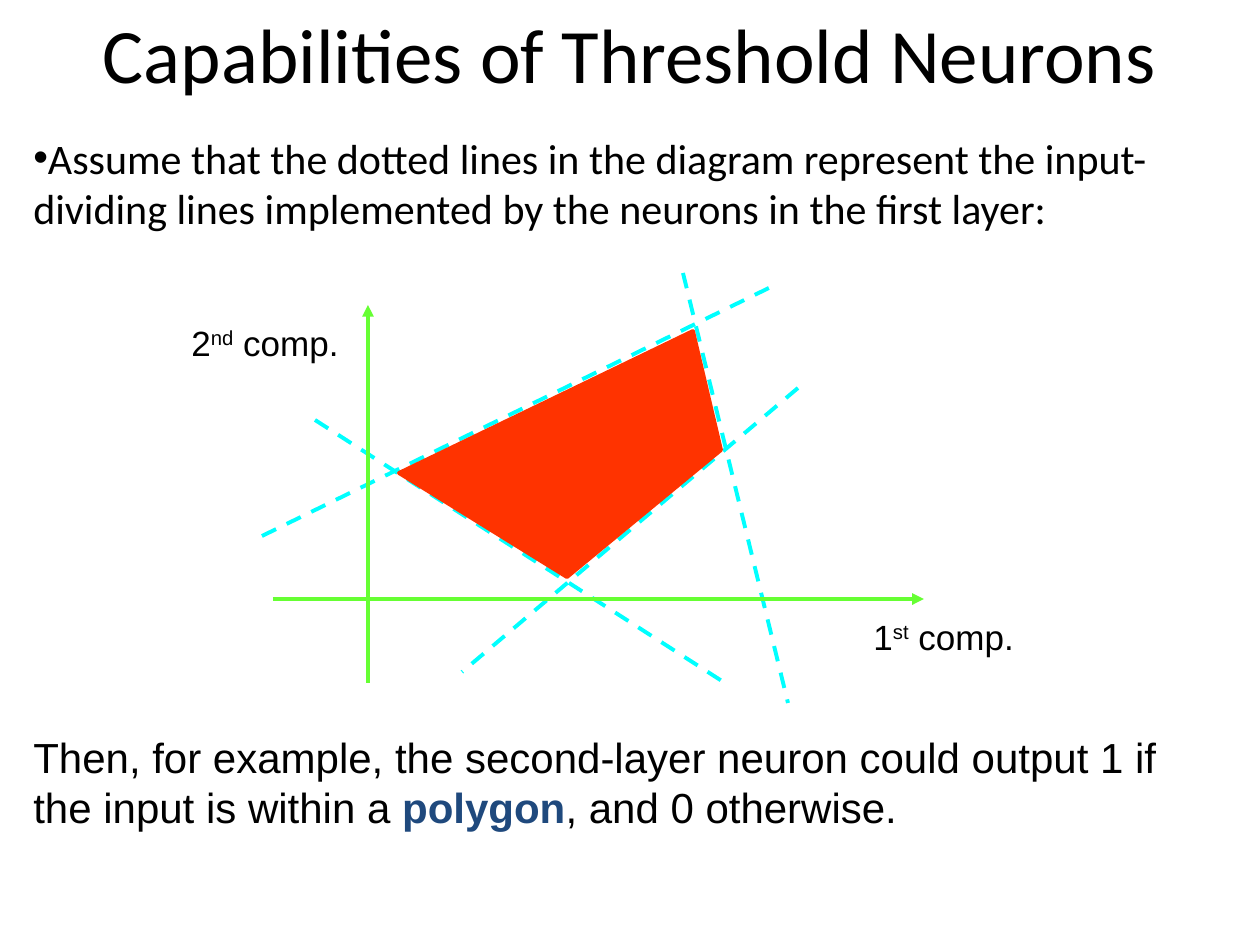
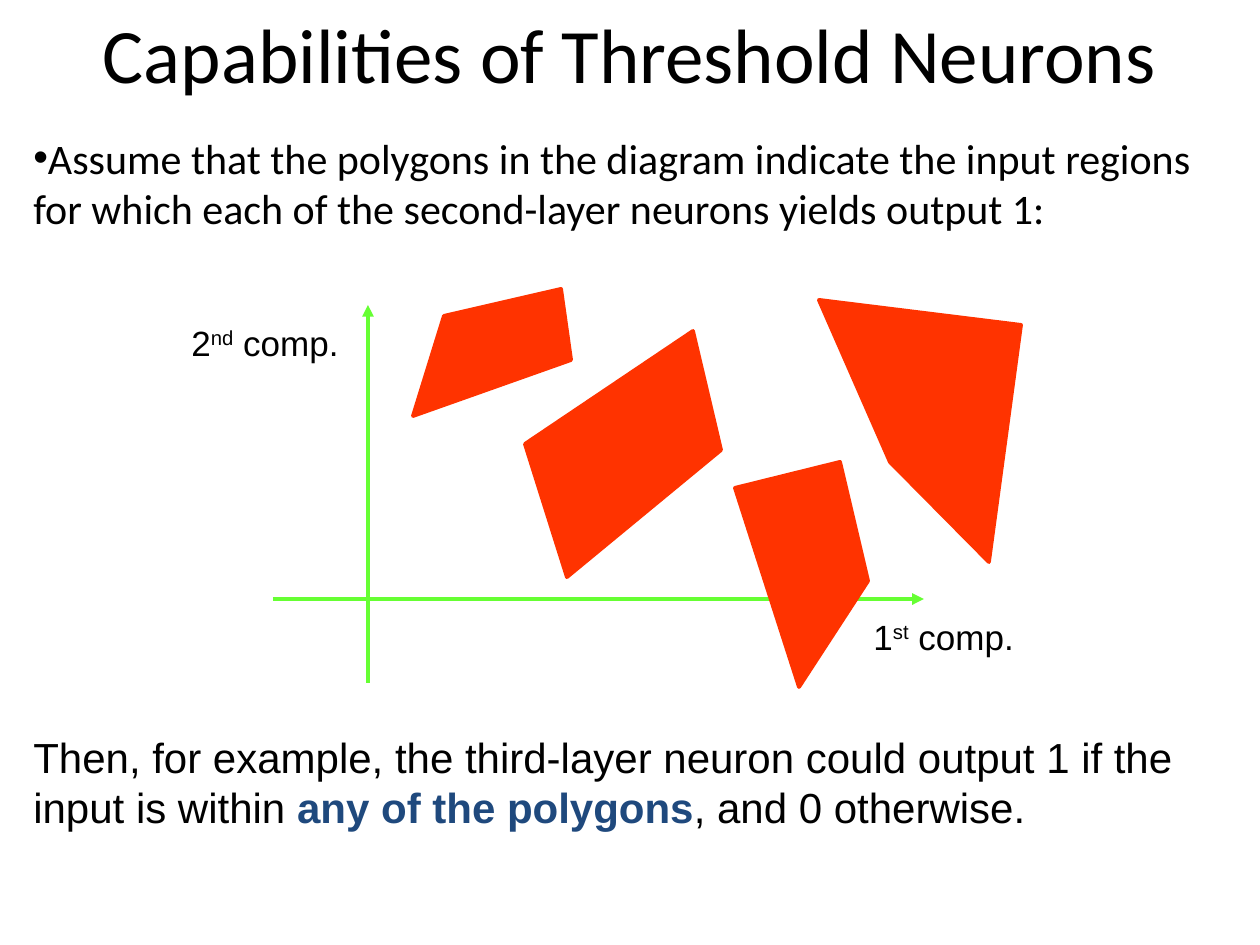
from lxml.etree import SubElement
from pptx import Presentation
from pptx.dml.color import RGBColor
from pptx.enum.dml import MSO_LINE
from pptx.enum.shapes import MSO_CONNECTOR
from pptx.enum.text import MSO_ANCHOR, PP_ALIGN
from pptx.oxml.ns import qn
from pptx.util import Pt

EMU_PER_PX = 914400 / 126
BLACK = RGBColor(0x00, 0x00, 0x00)
NAVY = RGBColor(0x1F, 0x49, 0x7D)
CYAN = RGBColor(0x00, 0xFF, 0xFF)
GREEN = RGBColor(0x66, 0xFF, 0x33)
RED = RGBColor(0xFF, 0x33, 0x00)

TITLE = {"name": "Calibri", "size": Pt(44)}
BODY = {"name": "Calibri", "size": Pt(24)}
CONCLUSION = {"name": "Arial", "size": Pt(24)}
LABEL = {"name": "Arial", "size": Pt(20)}
LINE_WIDTH = Pt(2.25)

# Boxes are left, top, width, height
TITLE_BOX = (0, 0, 1260, 105)
BODY_BOX = (21, 126, 1197, 168)
DIAGRAM_BOX = (179, 273, 851, 430)
CONCLUSION_BOX = (21, 725, 1197, 136)
LABEL_SIZE = (179, 63)

# Diagram points are relative to the diagram box
AXES = [((189, 410), (189, 32)), ((94, 326), (745, 326))]
AXIS_LABELS = [((682, 336), "1", "st"), ((0, 42), "2", "nd")]
DIVIDING_LINES = [
    ((136, 147), (546, 410)),
    ((83, 263), (598, 11)),
    ((504, 0), (609, 430)),
    ((619, 115), (283, 399)),
]
SHARED_CORNERS = [(388, 304), (542, 177), (514, 58)]
ENCLOSED_POLYGON = [(220, 200), *SHARED_CORNERS]
REGION_POLYGONS = [
    [(346, 171), *SHARED_CORNERS],
    [(640, 27), (711, 189), (810, 289), (842, 52)],
    [(265, 43), (234, 143), (392, 87), (382, 16)],
    [(556, 215), (620, 414), (689, 308), (661, 189)],
]

PAGES = [
    {
        "body": "Assume that the dotted lines in the diagram represent the input-dividing "
                "lines implemented by the neurons in the first layer:",
        "dividing_lines": DIVIDING_LINES,
        "polygons": [ENCLOSED_POLYGON],
        "conclusion": ("Then, for example, the second-layer neuron could output 1 if the "
                       "input is within a ", "polygon", ", and 0 otherwise."),
    },
    {
        "body": "Assume that the polygons in the diagram indicate the input regions for "
                "which each of the second-layer neurons yields output 1:",
        "dividing_lines": [],
        "polygons": REGION_POLYGONS,
        "conclusion": ("Then, for example, the third-layer neuron could output 1 if the "
                       "input is within ", "any of the polygons", ", and 0 otherwise."),
    },
]


def px(length):
    return round(length * EMU_PER_PX)


def place(box, point):
    """Turn a point relative to a box into slide EMU."""
    return px(box[0] + point[0]), px(box[1] + point[1])


def add_text_box(shapes, box):
    frame = shapes.add_textbox(*map(px, box)).text_frame
    frame.word_wrap = True
    return frame


def add_span(para, text, style, color=BLACK, bold=False):
    span = para.add_run()
    span.text = text
    for name, value in {**style, "bold": bold}.items():
        setattr(span.font, name, value)
    span.font.color.rgb = color
    return span


def add_line(shapes, box, start, end, color):
    line = shapes.add_connector(MSO_CONNECTOR.STRAIGHT, *place(box, start), *place(box, end))
    line.line.color.rgb = color
    line.line.width = LINE_WIDTH
    # The line properties must exist before the effect list
    SubElement(line._element.spPr, qn("a:effectLst"))
    return line


def add_title(page, box):
    frame = add_text_box(page.shapes, box)
    frame.vertical_anchor = MSO_ANCHOR.MIDDLE
    para = frame.paragraphs[0]
    para.alignment = PP_ALIGN.CENTER
    add_span(para, "Capabilities of Threshold Neurons", TITLE)


def add_body(page, box, text):
    para = add_text_box(page.shapes, box).paragraphs[0]
    properties = para._p.get_or_add_pPr()
    properties.set("marL", "0")
    properties.set("indent", str(px(-21)))
    SubElement(properties, qn("a:buFont"), typeface="Arial")
    SubElement(properties, qn("a:buChar"), char="•")
    add_span(para, text, BODY)


def add_axes(page, box):
    shapes = page.shapes.add_group_shape().shapes
    for start, end in AXES:
        axis = add_line(shapes, box, start, end, GREEN)
        SubElement(axis.line._get_or_add_ln(), qn("a:tailEnd"), type="triangle")
    for (left, top), number, ordinal in AXIS_LABELS:
        label_box = (box[0] + left, box[1] + top, *LABEL_SIZE)
        para = add_text_box(shapes, label_box).paragraphs[0]
        add_span(para, number, LABEL)
        add_span(para, ordinal, LABEL)._r.get_or_add_rPr().set("baseline", "30000")
        add_span(para, " comp.", LABEL)


def add_polygon(page, box, corners):
    first, *others = [place(box, corner) for corner in corners]
    builder = page.shapes.build_freeform(*first)
    builder.add_line_segments(others, close=True)
    polygon = builder.convert_to_shape()
    polygon.shadow.inherit = False
    polygon.fill.solid()
    polygon.fill.fore_color.rgb = RED
    polygon.line.color.rgb = RED
    polygon.line.width = LINE_WIDTH


def add_diagram(page, box, dividing_lines, polygons):
    for start, end in dividing_lines:
        add_line(page.shapes, box, start, end, CYAN).line.dash_style = MSO_LINE.DASH
    add_axes(page, box)
    for corners in polygons:
        add_polygon(page, box, corners)


def add_conclusion(page, box, texts):
    before, emphasis, after = texts
    para = add_text_box(page.shapes, box).paragraphs[0]
    add_span(para, before, CONCLUSION)
    add_span(para, emphasis, CONCLUSION, NAVY, bold=True)
    add_span(para, after, CONCLUSION)


def add_page(deck, content):
    page = deck.slides.add_slide(deck.slide_layouts[6])
    add_title(page, TITLE_BOX)
    add_body(page, BODY_BOX, content["body"])
    add_diagram(page, DIAGRAM_BOX, content["dividing_lines"], content["polygons"])
    add_conclusion(page, CONCLUSION_BOX, content["conclusion"])


def main():
    deck = Presentation()
    deck.slide_width, deck.slide_height = px(1260), px(945)
    for content in PAGES:
        add_page(deck, content)
    deck.save("out.pptx")


if __name__ == "__main__":
    main()
